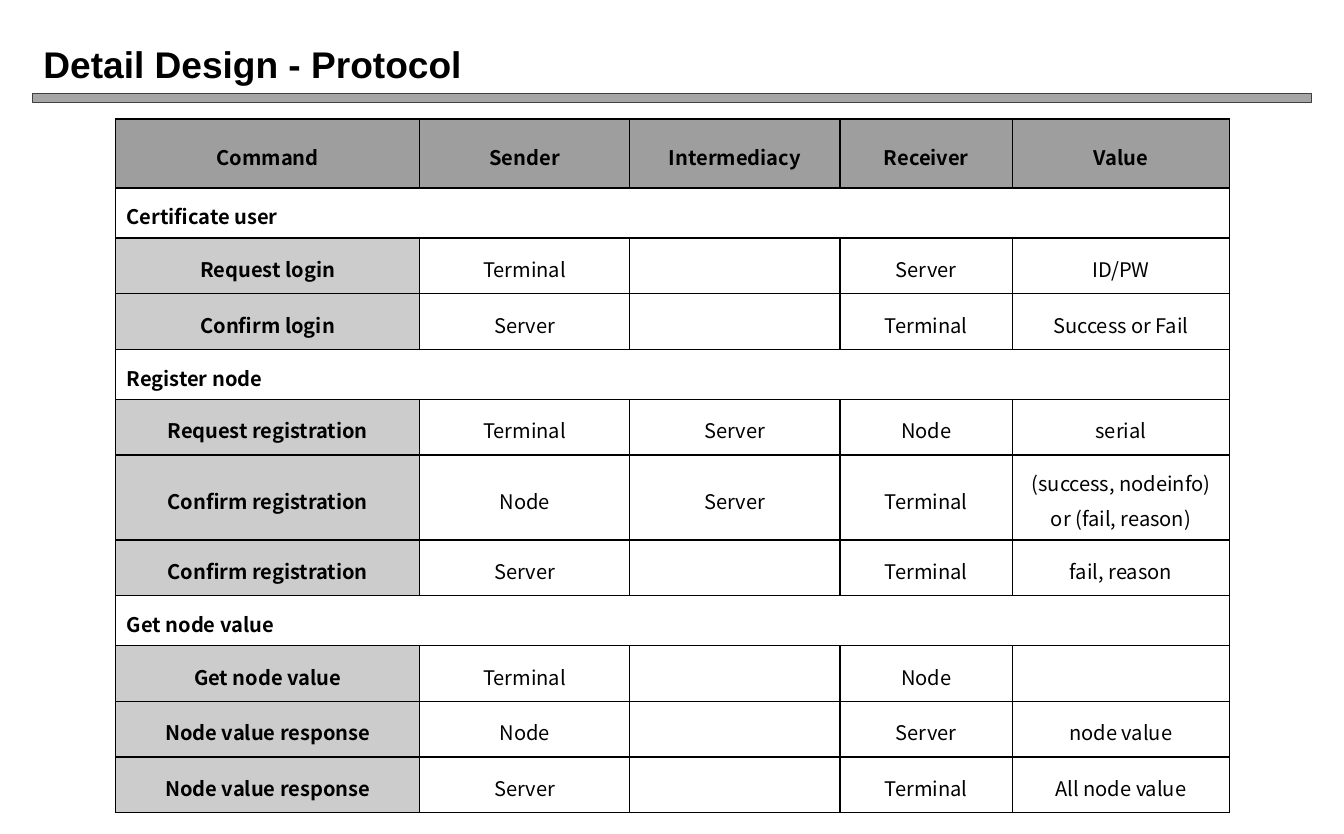
from lxml.etree import SubElement
from pptx import Presentation
from pptx.dml.color import RGBColor
from pptx.enum.shapes import MSO_SHAPE as SHAPE
from pptx.enum.text import MSO_ANCHOR as ANCHOR, PP_ALIGN as ALIGN
from pptx.oxml import parse_xml
from pptx.oxml.ns import nsdecls, qn
from pptx.util import Inches, Pt

BLACK = RGBColor(0x00, 0x00, 0x00)
WHITE = RGBColor(0xFF, 0xFF, 0xFF)
RULE_FILL = RGBColor(0xA6, 0xA6, 0xA6)
RULE_LINE = RGBColor(0x40, 0x40, 0x40)
HEADER_FILL = RGBColor(0x9E, 0x9E, 0x9E)
COMMAND_FILL = RGBColor(0xCC, 0xCC, 0xCC)

TITLE_FONT = {"name": "Arial", "size": Pt(24), "bold": True}
CELL_FONT = {"name": "Noto Sans CJK KR", "size": Pt(13)}
CELL_FORMAT = {
    "vertical_anchor": ANCHOR.MIDDLE,
    "margin_left": Inches(0.1), "margin_right": Inches(0.1),
    "margin_top": Inches(0.07), "margin_bottom": Inches(0.07),
}

COL_WIDTHS = [2.73, 1.89, 1.89, 1.55, 1.95]
HEADER_HEIGHT, SECTION_HEIGHT, ROW_HEIGHT = 0.62, 0.4, 0.5
ROWS = [
    ["Command", "Sender", "Intermediacy", "Receiver", "Value"],
    ["Certificate user"],
    ["Request login", "Terminal", "", "Server", "ID/PW"],
    ["Confirm login", "Server", "", "Terminal", "Success or Fail"],
    ["Register node"],
    ["Request registration", "Terminal", "Server", "Node", "serial"],
    ["Confirm registration", "Node", "Server", "Terminal",
     "(success, nodeinfo)\nor (fail, reason)"],
    ["Confirm registration", "Server", "", "Terminal", "fail, reason"],
    ["Get node value"],
    ["Get node value", "Terminal", "", "Node", ""],
    ["Node value response", "Node", "", "Server", "node value"],
    ["Node value response", "Server", "", "Terminal", "All node value"],
]


def set_attrs(obj, values):
    """Set every attribute named in a dict of format values."""
    for name, value in values.items():
        setattr(obj, name, value)


def format_font(font, values):
    """Apply format values and black colour to a font."""
    set_attrs(font, values)
    font.color.rgb = BLACK


def set_title(s, text):
    """Move, fill and format the title placeholder."""
    sp = s.shapes.title
    set_attrs(sp, {"left": Inches(0.29), "top": Inches(0.3),
                   "width": Inches(11.5), "height": Inches(0.54)})
    tf = sp.text_frame
    tf.text = text
    tf.vertical_anchor = ANCHOR.MIDDLE
    p = tf.paragraphs[0]
    p.alignment = ALIGN.LEFT
    format_font(p.runs[0].font, TITLE_FONT)


def add_rule(s):
    """Add the grey bar under the title."""
    sp = s.shapes.add_shape(SHAPE.FLOWCHART_PROCESS, Inches(0.29), Inches(0.84),
                            Inches(11.5), Inches(0.08))
    sp.shadow.inherit = False
    sp.fill.solid()
    sp.fill.fore_color.rgb = RULE_FILL
    sp.line.color.rgb = RULE_LINE
    sp.line.width = Pt(0.75)


def set_borders(cell):
    """Draw a thin black line on all four sides of a cell."""
    tc_pr = cell._tc.get_or_add_tcPr()
    for i, side in enumerate(("lnL", "lnR", "lnT", "lnB")):
        tc_pr.insert(i, parse_xml(
            f'<a:{side} {nsdecls("a")} w="{Pt(1)}"><a:solidFill>'
            f'<a:srgbClr val="{BLACK}"/></a:solidFill></a:{side}>'))


def format_cell(cell, text, fill, bold, align):
    """Write and format one table cell."""
    cell.text = text
    set_attrs(cell, CELL_FORMAT)
    cell.fill.solid()
    cell.fill.fore_color.rgb = fill
    set_borders(cell)
    for p in cell.text_frame.paragraphs:
        set_attrs(p, {"alignment": align, "line_spacing": 1.2})
        for r in p.runs:
            format_font(r.font, CELL_FONT | {"bold": bold})
        if not p.runs:
            SubElement(p._p, qn("a:endParaRPr"), sz="1300")


def add_protocol_table(s):
    """Add the command table with its merged section rows."""
    n_cols = len(COL_WIDTHS)
    table = s.shapes.add_table(len(ROWS), n_cols, Inches(1.04), Inches(1.07),
                               Inches(10), Inches(5.98)).table
    set_attrs(table, {"first_row": False, "horz_banding": False})
    for col, width in zip(table.columns, COL_WIDTHS):
        col.width = Inches(width)
    for i, row in enumerate(ROWS):
        header, section = i == 0, len(row) == 1
        height = (HEADER_HEIGHT if header
                  else SECTION_HEIGHT if section else ROW_HEIGHT)
        table.rows[i].height = Inches(height)
        texts = row + [""] * (n_cols - len(row))
        for j, text in enumerate(texts):
            command = j == 0 and not section
            fill = HEADER_FILL if header else COMMAND_FILL if command else WHITE
            format_cell(table.cell(i, j), text, fill, header or j == 0,
                        ALIGN.LEFT if section else ALIGN.CENTER)
        if section:
            table.cell(i, 0).merge(table.cell(i, n_cols - 1))


def main():
    """Build and save the slide."""
    prs = Presentation()
    prs.slide_width, prs.slide_height = Inches(12.08), Inches(7.5)
    s = prs.slides.add_slide(prs.slide_layouts[5])
    add_rule(s)
    set_title(s, "Detail Design - Protocol")
    add_protocol_table(s)
    prs.save("out.pptx")


if __name__ == "__main__":
    main()
